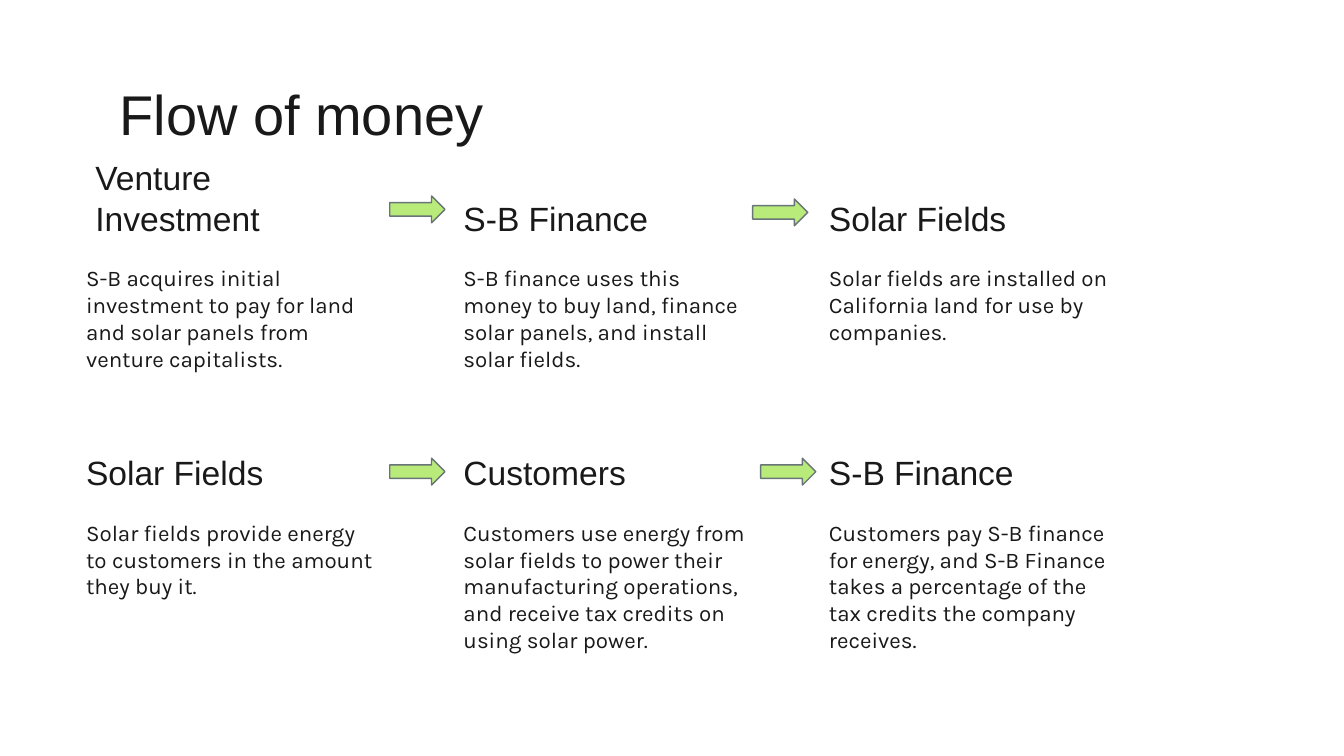
from pptx import Presentation
from pptx.dml.color import RGBColor
from pptx.enum import shapes, text
from pptx.util import Pt

INK = RGBColor(0x19, 0x19, 0x19)
LIME = RGBColor(0xB9, 0xEB, 0x7B)
SLATE = RGBColor(0x69, 0x74, 0x77)

INSET = 7.2
COLUMN_LEFTS = (39, 241.2, 437)
COLUMN_WIDTH = 170
ROW_TOPS = (105, 241.2)
HEADING_HEIGHT = 29.6
BODY_HEIGHT = 91.4

FLOW = (
    (
        ("Venture Investment",
         "S-B acquires initial investment to pay for land and solar panels "
         "from venture capitalists."),
        ("S-B Finance",
         "S-B finance uses this money to buy land, finance solar panels, "
         "and install solar fields."),
        ("Solar Fields",
         "Solar fields are installed on California land for use by companies."),
    ),
    (
        ("Solar Fields",
         "Solar fields provide energy to customers in the amount they buy it."),
        ("Customers",
         "Customers use energy from solar fields to power their manufacturing "
         "operations, and receive tax credits on using solar power."),
        ("S-B Finance",
         "Customers pay S-B finance for energy, and S-B Finance takes a "
         "percentage of the tax credits the company receives."),
    ),
)
ARROW_SPOTS = ((208.8, 105), (403.2, 106.6), (208.8, 245.5), (407.5, 245.5))


def add_text(slide, wording, left, top, width, height, font, size,
             anchor=text.MSO_ANCHOR.TOP):
    box = slide.shapes.add_textbox(Pt(left), Pt(top), Pt(width), Pt(height))
    frame = box.text_frame
    frame.word_wrap = True
    frame.vertical_anchor = anchor
    frame.margin_left = frame.margin_right = Pt(INSET)
    frame.margin_top = frame.margin_bottom = Pt(INSET)
    paragraph = frame.paragraphs[0]
    paragraph.text = wording
    paragraph.font.name = font
    paragraph.font.size = Pt(size)
    paragraph.font.color.rgb = INK


def add_step(slide, heading, body, left, top):
    indent = 5 if heading == "Venture Investment" else 0
    add_text(slide, heading, left + indent, top, COLUMN_WIDTH - indent,
             HEADING_HEIGHT, "Arial", 18, text.MSO_ANCHOR.BOTTOM)
    add_text(slide, body, left, top + HEADING_HEIGHT, COLUMN_WIDTH,
             BODY_HEIGHT, "Karla", 12)


def add_arrow(slide, left, top):
    arrow = slide.shapes.add_shape(shapes.MSO_SHAPE.RIGHT_ARROW,
                                   Pt(left), Pt(top), Pt(29.6), Pt(14.4))
    arrow.shadow.inherit = False
    arrow.fill.solid()
    arrow.fill.fore_color.rgb = LIME
    arrow.line.color.rgb = SLATE
    arrow.line.width = Pt(0.75)


def main():
    deck = Presentation()
    deck.slide_width, deck.slide_height = Pt(720), Pt(405)
    slide = deck.slides.add_slide(deck.slide_layouts[6])
    add_text(slide, "Flow of money", 57, 35.3, 607, 45.4, "Arial", 30)
    for top, steps in zip(ROW_TOPS, FLOW):
        for left, (heading, body) in zip(COLUMN_LEFTS, steps):
            add_step(slide, heading, body, left, top)
    for left, top in ARROW_SPOTS:
        add_arrow(slide, left, top)
    deck.save("out.pptx")


if __name__ == "__main__":
    main()
